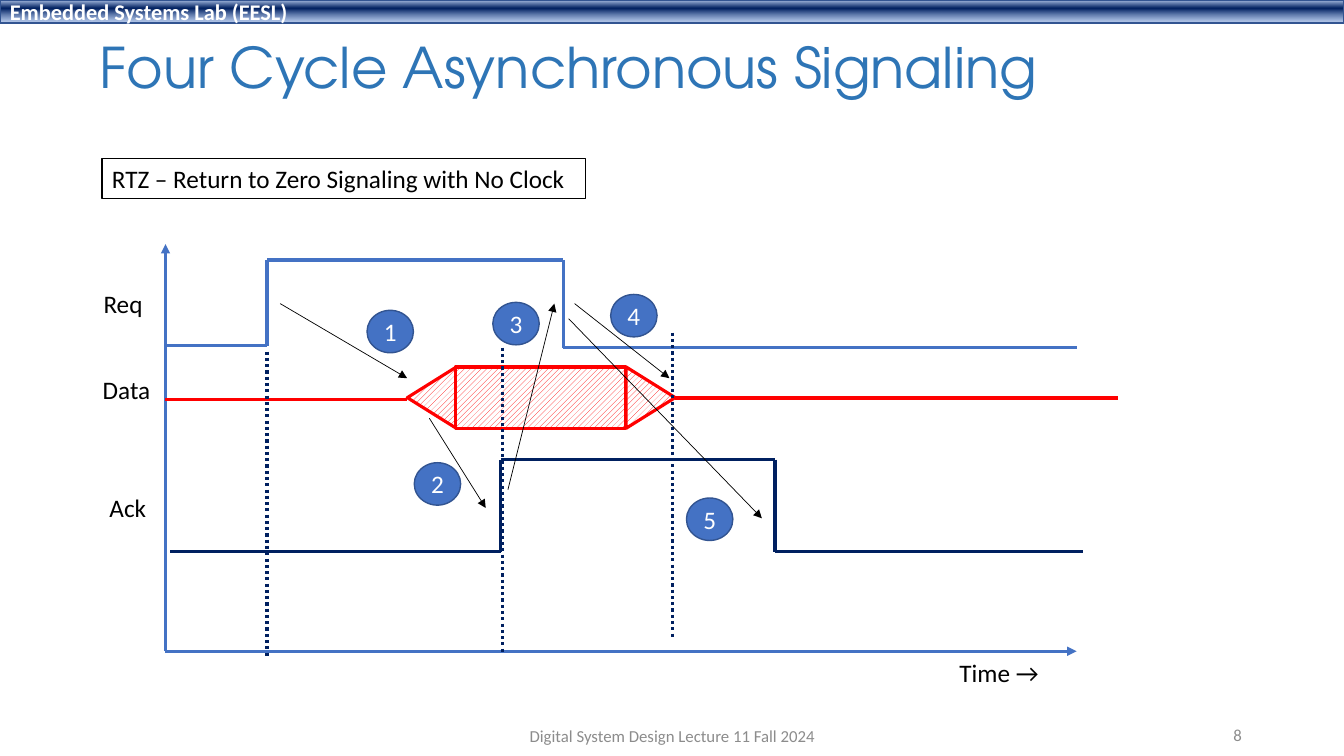
from dataclasses import dataclass
from itertools import pairwise

from lxml.etree import SubElement
from pptx import Presentation
from pptx.dml.color import RGBColor as RGB
from pptx.enum.dml import MSO_LINE as DASH, MSO_PATTERN as PATTERN
from pptx.enum.shapes import MSO_CONNECTOR as CONN, MSO_SHAPE as SHAPE
from pptx.enum.text import MSO_ANCHOR as ANCHOR, MSO_AUTO_SIZE as FIT, PP_ALIGN as ALIGN
from pptx.oxml.ns import qn
from pptx.util import Cm, Pt


@dataclass(frozen=True)
class Theme:
    """Colours, fonts, type sizes and line widths."""
    blue: str = "4472C4"
    edge: str = "325491"
    navy: str = "002060"
    red: str = "FF0000"
    black: str = "000000"
    white: str = "FFFFFF"
    grey: str = "8C8C8C"
    title: str = "2E75B6"
    bar: tuple = ((2, "ABC0E4", 100), (38, "002060", 100), (93, "7E9ED6", 64))
    body_font: str = "Calibri"
    title_font: str = "TeX Gyre Adventor"
    title_size: int = 40
    body_size: int = 18
    bar_size: int = 16
    foot_size: int = 12
    thick: float = 2.25
    thin: float = 0.5
    outline: float = 1


class Diagram:
    """Draws timing diagram elements on one slide."""

    def __init__(self, slide, theme):
        """Keep the slide's shapes and the theme."""
        self.shapes, self.t = slide.shapes, theme

    def add_words(self, sp, text, color, size=None, font=None, bold=False,
                  align=ALIGN.LEFT, anchor=ANCHOR.MIDDLE, spacing=None):
        """Put one styled run into a shape."""
        tf = sp.text_frame
        tf.word_wrap = True
        tf.vertical_anchor = anchor
        p = tf.paragraphs[0]
        p.alignment = align
        if spacing:
            p.line_spacing = spacing
        r = p.add_run()
        r.text = text
        r.font.name = font or self.t.body_font
        r.font.size = Pt(size or self.t.body_size)
        r.font.bold = bold
        r.font.color.rgb = RGB.from_string(color)

    def text(self, box, text, color, **style):
        """Add a wrapped text box."""
        sp = self.shapes.add_textbox(*map(Cm, box))
        self.add_words(sp, text, color, **style)
        return sp

    def hug(self, sp):
        """Fit a shape to its single line of text."""
        sp.text_frame.word_wrap = False
        sp.text_frame.auto_size = FIT.SHAPE_TO_FIT_TEXT

    def label(self, x, y, width, text):
        """Add an unwrapped signal or axis label."""
        self.hug(self.text((x, y, width, 1.02), text, self.t.black, anchor=ANCHOR.TOP))

    def shape(self, kind, box, line, width, fill=None):
        """Add an outlined preset shape without shadow."""
        sp = self.shapes.add_shape(kind, *map(Cm, box))
        sp.shadow.inherit = False
        sp.line.color.rgb = RGB.from_string(line)
        sp.line.width = Pt(width)
        if fill:
            sp.fill.solid()
            sp.fill.fore_color.rgb = RGB.from_string(fill)
        return sp

    def header(self, box, text):
        """Add the gradient bar with its bold caption."""
        sp = self.shape(SHAPE.RECTANGLE, box, self.t.edge, self.t.outline)
        sp.fill.gradient()
        sp.fill.gradient_angle = 270
        stops = sp._element.spPr.find(qn("a:gradFill")).find(qn("a:gsLst"))
        stops.clear()
        for pos, color, alpha in self.t.bar:
            gs = SubElement(stops, qn("a:gs"), pos=str(pos * 1000))
            clr = SubElement(gs, qn("a:srgbClr"), val=color)
            SubElement(clr, qn("a:alpha"), val=str(alpha * 1000))
        self.add_words(sp, text, self.t.white, size=self.t.bar_size, bold=True)

    def note(self, box, text):
        """Add a framed remark."""
        sp = self.shape(SHAPE.RECTANGLE, box, self.t.black, self.t.outline, self.t.white)
        self.add_words(sp, text, self.t.black, anchor=ANCHOR.TOP)
        self.hug(sp)

    def hatch(self, kind, box, rotation=0):
        """Add a hatched part of the data window."""
        sp = self.shape(kind, box, self.t.red, self.t.thick)
        sp.rotation = rotation
        sp.fill.patterned()
        sp.fill.pattern = PATTERN.WIDE_UPWARD_DIAGONAL
        sp.fill.fore_color.rgb = RGB.from_string(self.t.red)
        sp.fill.back_color.rgb = RGB.from_string(self.t.white)

    def step(self, number, x, y):
        """Add a numbered circle."""
        sp = self.shape(SHAPE.OVAL, (x, y, 1.17, 1.07), self.t.edge, self.t.outline, self.t.blue)
        self.add_words(sp, str(number), self.t.white, align=ALIGN.CENTER)

    def line(self, start, end, color, width, arrow=False, dash=None):
        """Add a straight line or arrow."""
        s = self.shapes.add_connector(CONN.STRAIGHT, *map(Cm, (*start, *end)))
        s.line.color.rgb = RGB.from_string(color)
        s.line.width = Pt(width)
        if dash:
            s.line.dash_style = dash
        if arrow:
            SubElement(s._element.spPr.find(qn("a:ln")), qn("a:tailEnd"), type="triangle")
        SubElement(s._element.spPr, qn("a:effectLst"))

    def wave(self, points, color):
        """Join successive points of a signal."""
        for start, end in pairwise(points):
            self.line(start, end, color, self.t.thick)


def main():
    """Build and save the slide."""
    prs = Presentation()
    prs.slide_width, prs.slide_height = Cm(33.87), Cm(19.05)
    t = Theme()
    d = Diagram(prs.slides.add_slide(prs.slide_layouts[6]), t)

    d.header((0, 0, 33.87, 0.58), "Embedded Systems Lab (EESL)")
    d.text((2.26, 0.48, 29.21, 2.59), "Four Cycle Asynchronous Signaling", t.title,
           size=t.title_size, font=t.title_font, spacing=0.9)

    left, right, base = 4.17, 27.13, 16.41
    for tip in ((left, 6.15), (right, base)):
        d.line((left, base), tip, t.blue, t.thick, arrow=True)

    rise, fall, low, high = 12.62, 19.53, 13.9, 11.58
    d.wave([(4.29, low), (rise, low), (rise, high), (fall, high), (fall, low), (27.28, low)], t.navy)

    d.wave([(left, 10.06), (10.26, 10.06)], t.red)
    d.hatch(SHAPE.ISOSCELES_TRIANGLE, (10.11, 9.4, 1.55, 1.24), 270)
    d.hatch(SHAPE.RECTANGLE, (11.48, 9.25, 4.29, 1.55))
    d.hatch(SHAPE.ISOSCELES_TRIANGLE, (15.62, 9.4, 1.55, 1.24), 90)
    d.wave([(17.02, 10.03), (28.17, 10.03)], t.red)

    rise, fall, high = 6.73, 14.2, 6.55
    d.wave([(left, 8.71), (rise, 8.71), (rise, high), (fall, high), (fall, 8.76), (right, 8.76)], t.blue)

    for x, top in ((rise, 8.86), (12.67, 8.76), (16.94, 8.38)):
        d.line((x, top), (x, top + 7.73), t.navy, t.thick, dash=DASH.ROUND_DOT)

    for x, y, width, name in ((23.93, 16.43, 2.54, "Time →"), (2.36, 7.14, 1.5, "Req"),
                              (2.34, 9.3, 1.73, "Data"), (2.51, 12.29, 1.45, "Ack")):
        d.label(x, y, width, name)
    d.note((2.57, 3.99, 12.19, 1.02), "RTZ – Return to Zero Signaling with No Clock")

    for start, end in (((7.06, 7.65), (10.26, 9.53)), ((10.82, 10.54), (12.24, 12.8)),
                       ((12.8, 12.34), (13.97, 7.65)), ((14.48, 7.65), (16.87, 9.53)),
                       ((14.33, 8.03), (19.2, 13.06))):
        d.line(start, end, t.black, t.thin, arrow=True)
    spots = ((9.25, 7.82), (10.44, 11.66), (12.42, 7.62), (15.39, 7.42), (17.3, 12.55))
    for number, (x, y) in enumerate(spots, 1):
        d.step(number, x, y)

    d.text((11.23, 18.03, 11.43, 1.02), "Digital System Design Lecture 11 Fall 2024", t.grey,
           size=t.foot_size, align=ALIGN.CENTER)
    d.text((23.93, 18.01, 7.62, 1.02), "8", t.grey, size=t.foot_size, align=ALIGN.RIGHT)
    prs.save("out.pptx")


if __name__ == "__main__":
    main()
